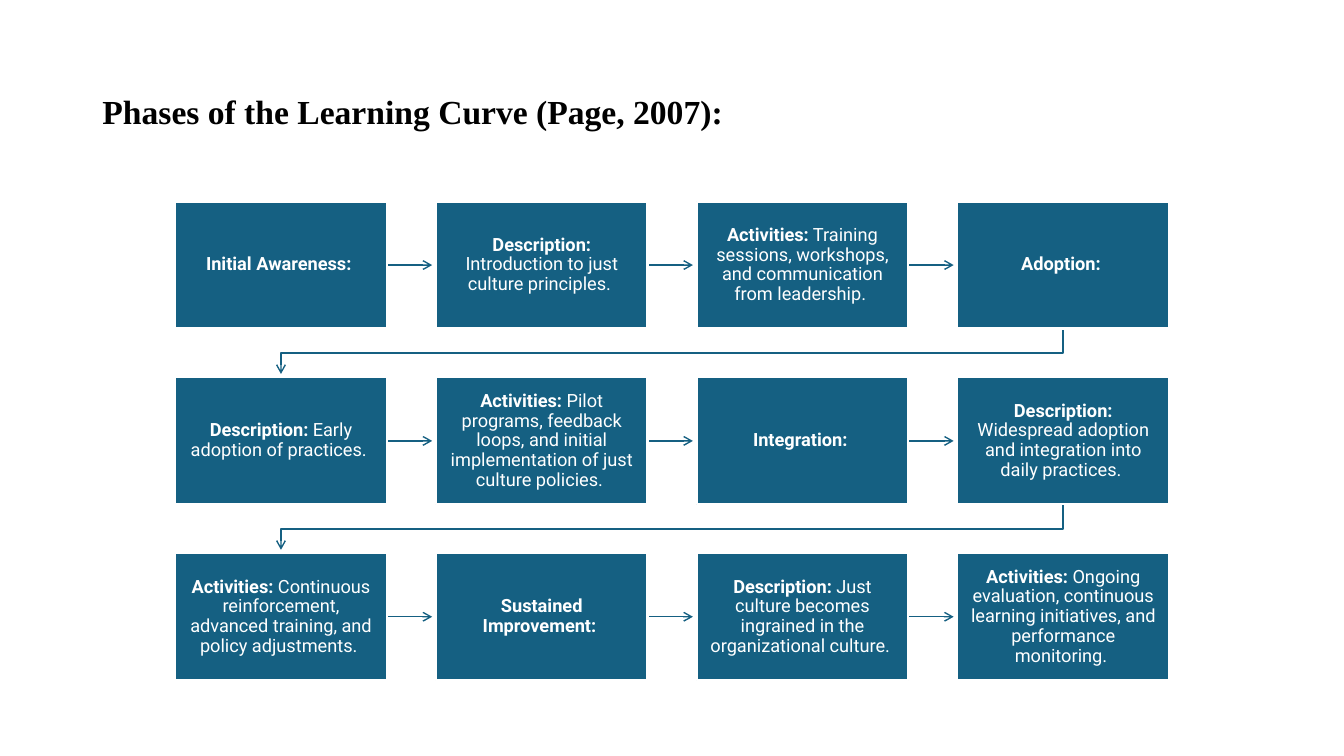
from dataclasses import dataclass

from lxml.etree import SubElement
from pptx import Presentation
from pptx.dml.color import RGBColor
from pptx.enum.shapes import MSO_CONNECTOR, MSO_SHAPE
from pptx.enum.text import MSO_ANCHOR, MSO_AUTO_SIZE, PP_ALIGN
from pptx.oxml.ns import qn
from pptx.slide import Slide
from pptx.text.text import _Paragraph as Paragraph
from pptx.util import Pt

BLUE = RGBColor(0x15, 0x60, 0x82)
WHITE = RGBColor(0xFF, 0xFF, 0xFF)
BLACK = RGBColor(0x00, 0x00, 0x00)

COLUMNS = 4
LEFT, TOP = 125.1, 144
BOX_WIDTH, BOX_HEIGHT = 151.2, 90.7
COLUMN_STEP, ROW_STEP = 186.25, 125.6
ARROW_LENGTH = 32.4
ELBOW_DROP = 17.5


@dataclass(frozen=True)
class Step:
    label: str
    detail: str = ""


STEPS = [
    Step("Initial Awareness: "),
    Step("Description:", " Introduction to just culture principles. "),
    Step("Activities:", " Training sessions, workshops, and communication from leadership. "),
    Step("Adoption: "),
    Step("Description:", " Early adoption of practices. "),
    Step("Activities:", " Pilot programs, feedback loops, and initial implementation of just culture policies. "),
    Step("Integration: "),
    Step("Description:", " Widespread adoption and integration into daily practices. "),
    Step("Activities:", " Continuous reinforcement, advanced training, and policy adjustments. "),
    Step("Sustained Improvement: "),
    Step("Description:", " Just culture becomes ingrained in the organizational culture. "),
    Step("Activities:", " Ongoing evaluation, continuous learning initiatives, and performance monitoring. "),
]


def add_span(para: Paragraph, text: str, font: str, size: float, color: RGBColor, bold: bool) -> None:
    span = para.add_run()
    span.text = text
    span.font.name = font
    span.font.size = Pt(size)
    span.font.bold = bold
    span.font.color.rgb = color


def style_arrow(arrow) -> None:
    arrow.line.color.rgb = BLUE
    arrow.line.width = Pt(1)
    SubElement(arrow.line._get_or_add_ln(), qn("a:tailEnd"), type="arrow")


def add_straight_arrow(page: Slide, left: float, middle: float) -> None:
    arrow = page.shapes.add_connector(
        MSO_CONNECTOR.STRAIGHT, Pt(left), Pt(middle), Pt(left + ARROW_LENGTH), Pt(middle)
    )
    style_arrow(arrow)
    SubElement(arrow._element.spPr, qn("a:effectLst"))


def add_return_arrow(page: Slide, start: float, end: float, top: float) -> None:
    turn = top + ELBOW_DROP
    corners = [(start, turn), (end, turn), (end, top + ARROW_LENGTH)]
    builder = page.shapes.build_freeform(Pt(start), Pt(top))
    builder.add_line_segments([(Pt(x), Pt(y)) for x, y in corners], close=False)
    arrow = builder.convert_to_shape()
    arrow.fill.background()
    style_arrow(arrow)
    arrow.shadow.inherit = False


def add_step(page: Slide, step: Step, left: float, top: float) -> None:
    box = page.shapes.add_shape(
        MSO_SHAPE.RECTANGLE, Pt(left), Pt(top), Pt(BOX_WIDTH), Pt(BOX_HEIGHT)
    )
    box.shadow.inherit = False
    box.fill.solid()
    box.fill.fore_color.rgb = BLUE
    box.line.color.rgb = WHITE
    box.line.width = Pt(1.5)
    frame = box.text_frame
    frame.word_wrap = True
    frame.vertical_anchor = MSO_ANCHOR.MIDDLE
    frame.margin_left = frame.margin_right = Pt(7.4)
    frame.margin_top = frame.margin_bottom = Pt(7.8)
    para = frame.paragraphs[0]
    para.alignment = PP_ALIGN.CENTER
    para.line_spacing = 0.9
    add_span(para, step.label, "Roboto", 13, WHITE, True)
    if step.detail:
        add_span(para, step.detail, "Roboto", 13, WHITE, False)


def add_title(page: Slide) -> None:
    title = page.shapes.title
    title.left, title.top = Pt(66), Pt(28.75)
    title.width, title.height = Pt(828), Pt(104.4)
    frame = title.text_frame
    frame.word_wrap = True
    frame.auto_size = MSO_AUTO_SIZE.NONE
    frame.vertical_anchor = MSO_ANCHOR.MIDDLE
    para = frame.paragraphs[0]
    para.alignment = PP_ALIGN.LEFT
    para.line_spacing = 0.9
    add_span(para, "Phases of the Learning Curve (Page, 2007):", "Times New Roman", 24, BLACK, True)


def main() -> None:
    deck = Presentation()
    deck.slide_width, deck.slide_height = Pt(960), Pt(540)
    page = deck.slides.add_slide(deck.slide_layouts[5])
    add_title(page)
    for index, step in enumerate(STEPS):
        row, column = divmod(index, COLUMNS)
        left = LEFT + column * COLUMN_STEP
        top = TOP + row * ROW_STEP
        if column < COLUMNS - 1:
            add_straight_arrow(page, left + BOX_WIDTH, top + BOX_HEIGHT / 2)
        elif index < len(STEPS) - 1:
            add_return_arrow(page, left + BOX_WIDTH / 2, LEFT + BOX_WIDTH / 2, top + BOX_HEIGHT)
        add_step(page, step, left, top)
    deck.save("out.pptx")


if __name__ == "__main__":
    main()
